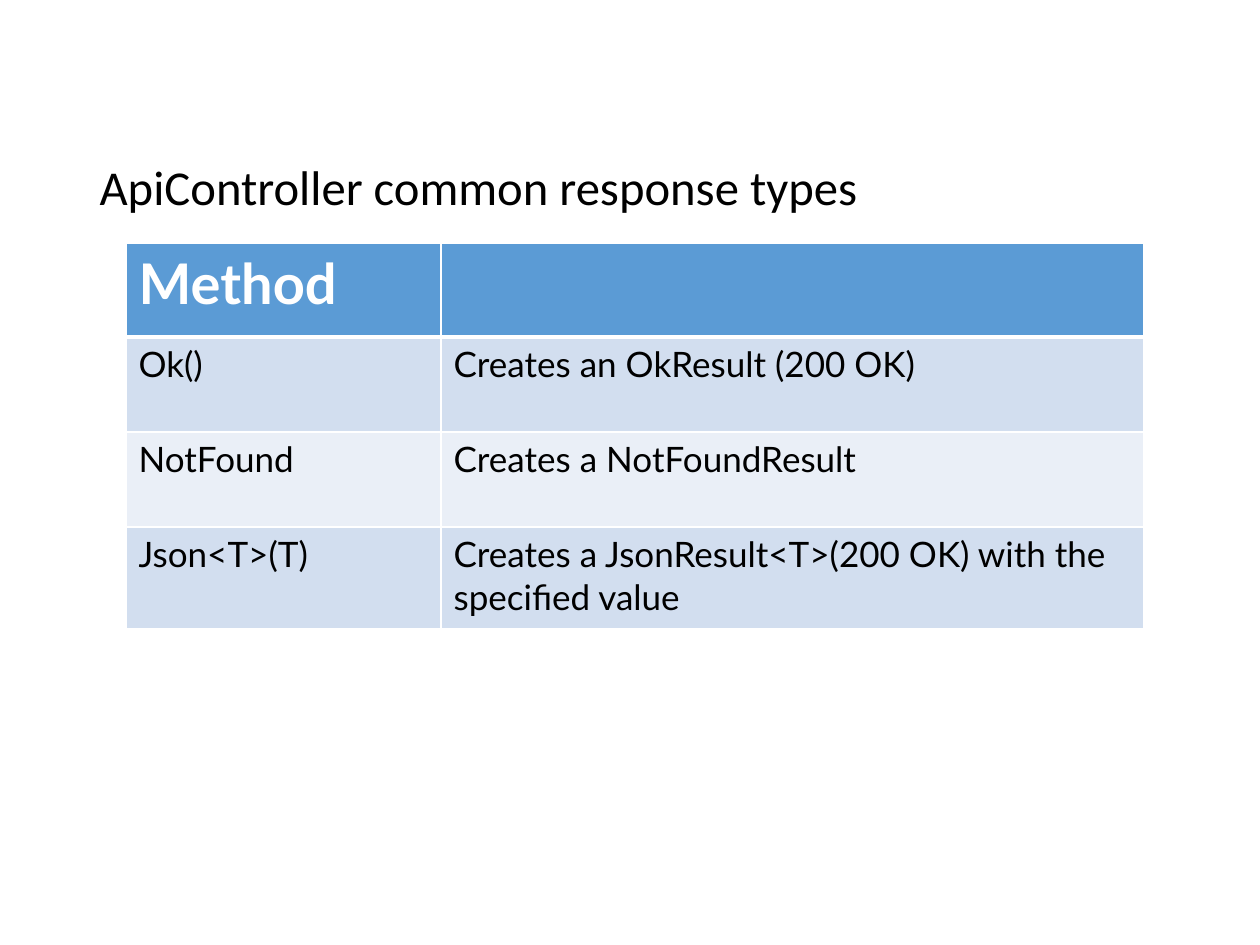
from lxml.etree import SubElement
from pptx import Presentation
from pptx.dml.color import RGBColor
from pptx.enum.text import MSO_ANCHOR, PP_ALIGN
from pptx.oxml.ns import qn
from pptx.util import Emu, Pt

TITLE = "ApiController common response types"
RESPONSES = [
    ("Method", ""),
    ("Ok()", "Creates an OkResult (200 OK)"),
    ("NotFound", "Creates a NotFoundResult"),
    ("Json<T>(T)", "Creates a JsonResult<T>(200 OK) with the specified value"),
]
COLUMN_WIDTHS = [315, 703]
ROW_HEIGHTS = [94, 95, 95, 102]
TITLE_BOX = (87, 137, 1086, 105)
TABLE_CORNER = (126, 243)

BLACK = RGBColor(0x00, 0x00, 0x00)
WHITE = RGBColor(0xFF, 0xFF, 0xFF)
HEADER_BLUE = RGBColor(0x5B, 0x9B, 0xD5)
BANDS = [RGBColor(0xD2, 0xDE, 0xEF), RGBColor(0xEA, 0xEF, 0xF7)]


def px(length):
    return Emu(round(length * 914400 / 126))


def write(frame, text, *, font, size, color, bold=False, spacing=None):
    paragraph = frame.paragraphs[0]
    paragraph.alignment = PP_ALIGN.LEFT
    paragraph.line_spacing = spacing
    run = paragraph.add_run()
    run.text = text
    run.font.name = font
    run.font.size = Pt(size)
    run.font.bold = bold
    run.font.color.rgb = color


def add_borders(cell, **widths):
    properties = cell._tc.get_or_add_tcPr()
    for position, (side, width) in enumerate(widths.items()):
        line = properties.makeelement(qn(f"a:ln{side}"), {"w": str(Pt(width))})
        fill = SubElement(line, qn("a:solidFill"))
        SubElement(fill, qn("a:srgbClr"), val=str(WHITE))
        properties.insert(position, line)


def main():
    deck = Presentation()
    deck.slide_width, deck.slide_height = px(1260), px(945)
    slide = deck.slides.add_slide(deck.slide_layouts[5])

    title = slide.shapes.title
    title.left, title.top, title.width, title.height = map(px, TITLE_BOX)
    title.text_frame.word_wrap = True
    title.text_frame.vertical_anchor = MSO_ANCHOR.MIDDLE
    write(title.text_frame, TITLE, font="Calibri", size=27.8, color=BLACK, spacing=0.9)

    table = slide.shapes.add_table(
        len(RESPONSES), len(COLUMN_WIDTHS), *map(px, TABLE_CORNER),
        px(sum(COLUMN_WIDTHS)), px(sum(ROW_HEIGHTS)),
    ).table
    for column, width in zip(table.columns, COLUMN_WIDTHS):
        column.width = px(width)
    for row, height in zip(table.rows, ROW_HEIGHTS):
        row.height = px(height)

    for r, response in enumerate(RESPONSES):
        header = r == 0
        for c, text in enumerate(response):
            cell = table.cell(r, c)
            cell.fill.solid()
            cell.fill.fore_color.rgb = HEADER_BLUE if header else BANDS[(r - 1) % 2]
            add_borders(cell, L=1, R=1, T=3 if r == 1 else 1, B=3 if header else 1)
            if text:
                write(cell.text_frame, text, font="Lato", size=32 if header else 20,
                      color=WHITE if header else BLACK, bold=header)

    deck.save("out.pptx")


if __name__ == "__main__":
    main()
